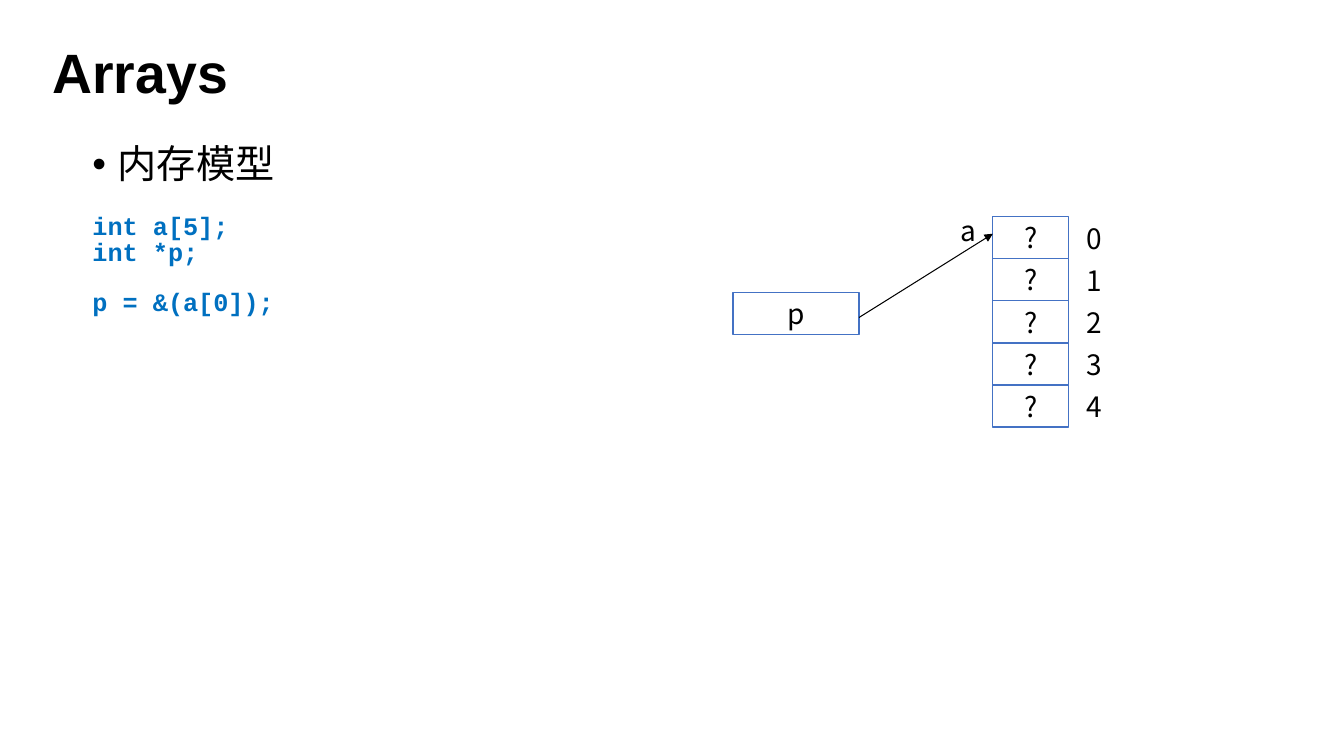
from lxml import etree
from pptx import Presentation
from pptx.dml.color import RGBColor
from pptx.enum.shapes import MSO_CONNECTOR, MSO_SHAPE
from pptx.enum.text import MSO_ANCHOR, PP_ALIGN
from pptx.oxml.ns import qn
from pptx.util import Cm, Pt

RECTANGLE = MSO_SHAPE.RECTANGLE
STRAIGHT = MSO_CONNECTOR.STRAIGHT
TOP, MIDDLE = MSO_ANCHOR.TOP, MSO_ANCHOR.MIDDLE
CENTER = PP_ALIGN.CENTER

COLORS = {"text": "000000", "code": "0070C0", "cell": "FFFFFF", "border": "4472C4"}
SANS, CJK, MONO = "Arial", "Noto Sans CJK SC", "Courier New"


def add_run(para, text, size, font, color="text", bold=False):
    span = para.add_run()
    span.text = text
    span.font.size = Pt(size)
    span.font.name = font
    span.font.bold = bold
    span.font.color.rgb = RGBColor.from_string(COLORS[color])
    if font == CJK:
        etree.SubElement(span.font._element, qn("a:ea"), typeface=font)


def add_box(left, top, width, height, anchor=TOP, bordered=False):
    area = Cm(left), Cm(top), Cm(width), Cm(height)
    if bordered:
        box = page.shapes.add_shape(RECTANGLE, *area)
        box.shadow.inherit = False
        box.fill.solid()
        box.fill.fore_color.rgb = RGBColor.from_string(COLORS["cell"])
        box.line.color.rgb = RGBColor.from_string(COLORS["border"])
        box.line.width = Pt(1)
        box.text_frame.paragraphs[0].alignment = CENTER
    else:
        box = page.shapes.add_textbox(*area)
    box.text_frame.word_wrap = not bordered
    box.text_frame.vertical_anchor = anchor
    return box.text_frame


deck = Presentation()
deck.slide_width, deck.slide_height = Cm(33.87), Cm(19.05)
page = deck.slides.add_slide(deck.slide_layouts[6])

# Title
para = add_box(1.07, 0.99, 24.1, 1.83, MIDDLE).paragraphs[0]
para.line_spacing = 0.9
add_run(para, "Arrays", 39.6, SANS, bold=True)

# Bullet
para = add_box(2.08, 3.53, 20.42, 13.36).paragraphs[0]
para.line_spacing = 0.9
para.space_before = Pt(10)
properties = para._p.get_or_add_pPr()
properties.set("marL", str(Cm(0.64)))
properties.set("indent", str(-Cm(0.64)))
etree.SubElement(properties, qn("a:buFont"), typeface=SANS)
etree.SubElement(properties, qn("a:buChar"), char="•")
add_run(para, "内存模型", 28, CJK)

# Code
code = add_box(2.08, 5.3, 16.94, 3.38)
for index, line in enumerate(["int a[5];", "int *p;", "p = &(a[0]);"]):
    para = code.add_paragraph() if index else code.paragraphs[0]
    para.line_spacing = 0.85
    add_run(para, line, 18, MONO, "code", bold=True)
code.paragraphs[-1].space_before = Pt(17.4)

# Array cells with their indices
array_left, array_top, cell_width, cell_height = 25.02, 5.46, 1.91, 1.06
for index in range(5):
    top = array_top + index * cell_height
    cell = add_box(array_left, top, cell_width, cell_height, MIDDLE, bordered=True)
    add_run(cell.paragraphs[0], "?", 20, CJK)
    label = add_box(27.13, top, 1.27, 1.09, MIDDLE)
    add_run(label.paragraphs[0], str(index), 20, CJK)

# Array name
name = add_box(23.95, 5.26, 1.27, 1.09, MIDDLE)
add_run(name.paragraphs[0], "a", 20, CJK)

# Pointer and its arrow to the first cell
pointer = add_box(18.47, 7.37, 3.18, cell_height, MIDDLE, bordered=True)
add_run(pointer.paragraphs[0], "p", 20, CJK)
arrow = page.shapes.add_connector(STRAIGHT, Cm(21.65), Cm(8), Cm(array_left), Cm(5.89))
arrow.line.color.rgb = RGBColor.from_string(COLORS["text"])
arrow.line.width = Pt(0.75)
etree.SubElement(arrow.line._get_or_add_ln(), qn("a:tailEnd"), type="triangle")
etree.SubElement(arrow._element.spPr, qn("a:effectLst"))

deck.save("out.pptx")
